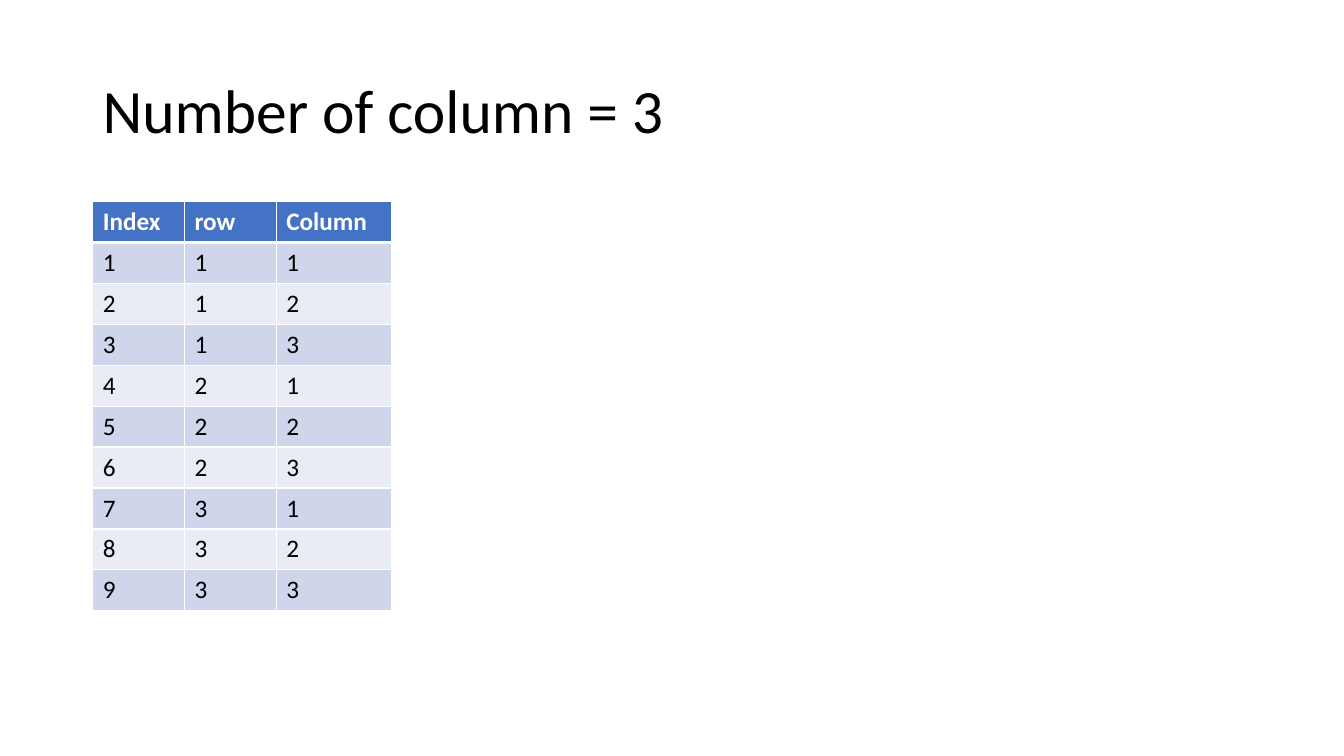
import pptx
import pptx.util
import pptx.dml.color
import pptx.enum.text
import pptx.oxml.ns
import lxml.etree

Inches = pptx.util.Inches

COUNT = 3
TITLE = f"Number of column = {COUNT}"
HEAD = ("Index", "row", "Column")
BODY = [(i + 1, i // COUNT + 1, i % COUNT + 1) for i in range(9)]
ROWS = [HEAD, *BODY]
WIDTHS = (0.91, 0.91, 1.14)
LEFT, TOP, HIGH = 0.92, 2, 4.06

THEME = {
    "font": "Calibri",
    "title": 44,
    "cell": 18,
    "ink": "000000",
    "white": "FFFFFF",
    "head": "4472C4",
    "bands": ("CFD5EA", "E9EBF5"),
    "thin": 1,
    "thick": 3,
}


def paint(code):
    return pptx.dml.color.RGBColor.from_string(code)


def style(para, size, color, bold=False):
    for run in para.runs:
        run.font.name = THEME["font"]
        run.font.size = pptx.util.Pt(size)
        run.font.bold = bold
        run.font.color.rgb = paint(color)


def edge(cell, side, width):
    """Add a white border to one side (L, R, T or B) of a cell."""
    name = pptx.oxml.ns.qn
    props = cell._tc.get_or_add_tcPr()
    line = lxml.etree.SubElement(props, name(f"a:ln{side}"), w=str(pptx.util.Pt(width)))
    fill = lxml.etree.SubElement(line, name("a:solidFill"))
    lxml.etree.SubElement(fill, name("a:srgbClr"), val=THEME["white"])


def add_title(slide):
    box = slide.shapes.add_textbox(Inches(LEFT), Inches(0.4), Inches(11.5), Inches(1.45))
    frame = box.text_frame
    frame.word_wrap = True
    frame.vertical_anchor = pptx.enum.text.MSO_ANCHOR.MIDDLE
    frame.text = TITLE
    para = frame.paragraphs[0]
    para.line_spacing = 0.9
    style(para, THEME["title"], THEME["ink"])


def add_grid(slide):
    table = slide.shapes.add_table(
        len(ROWS), len(HEAD), Inches(LEFT), Inches(TOP), Inches(sum(WIDTHS)), Inches(HIGH)
    ).table
    for col, width in zip(table.columns, WIDTHS):
        col.width = Inches(width)
    for r, row in enumerate(ROWS):
        top = r == 0
        back = THEME["head"] if top else THEME["bands"][(r - 1) % 2]
        ink = THEME["white"] if top else THEME["ink"]
        for c, value in enumerate(row):
            cell = table.cell(r, c)
            cell.text_frame.text = str(value)
            style(cell.text_frame.paragraphs[0], THEME["cell"], ink, top)
            for side in "LRTB":
                rule = (r, side) in ((0, "B"), (1, "T"))
                edge(cell, side, THEME["thick" if rule else "thin"])
            cell.fill.solid()
            cell.fill.fore_color.rgb = paint(back)


def main():
    deck = pptx.Presentation()
    deck.slide_width, deck.slide_height = Inches(13.33), Inches(7.5)
    slide = deck.slides.add_slide(deck.slide_layouts[6])
    add_title(slide)
    add_grid(slide)
    deck.save("out.pptx")


if __name__ == "__main__":
    main()
